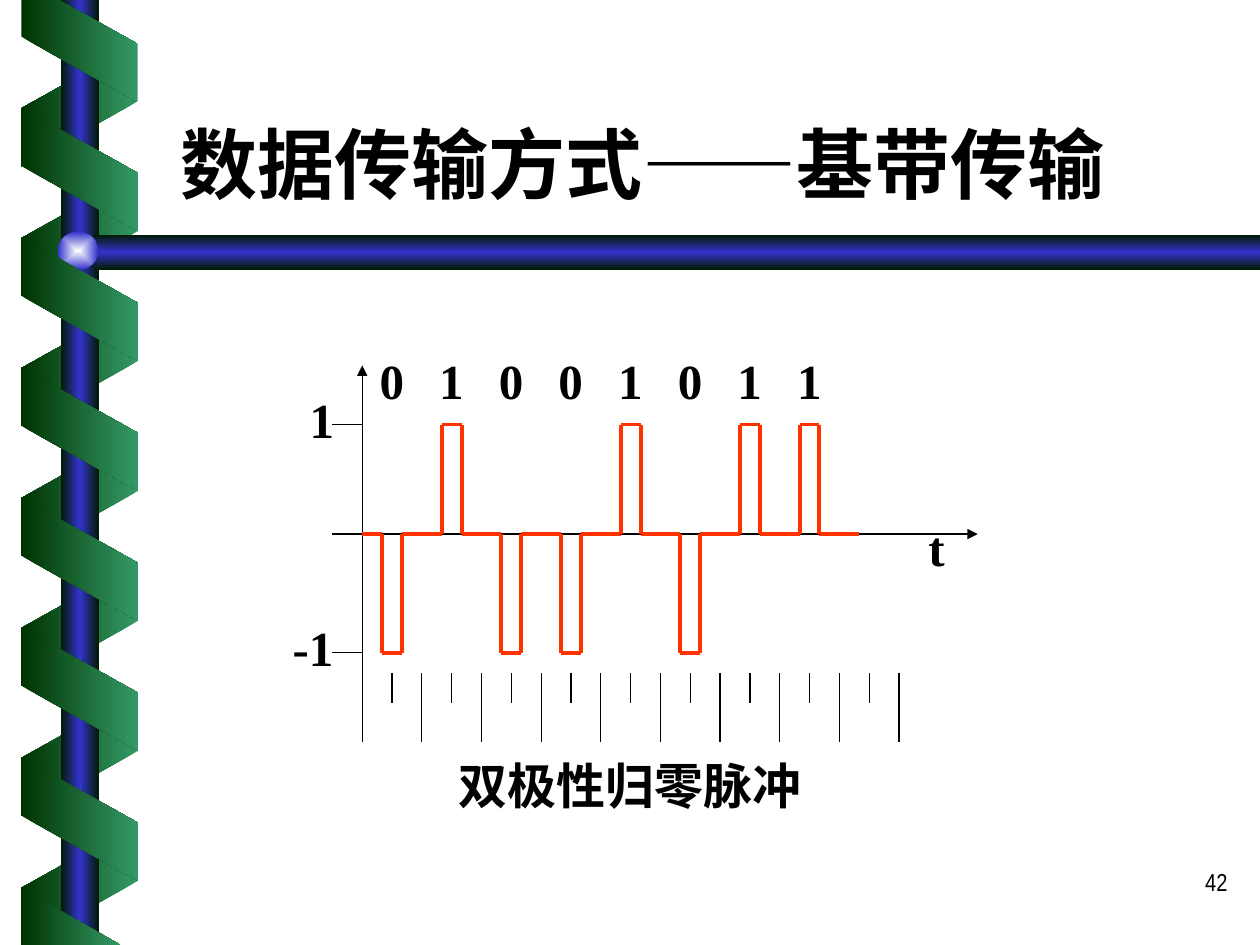
from pptx import Presentation
from pptx.dml.color import RGBColor
from pptx.enum.shapes import MSO_CONNECTOR, MSO_SHAPE
from pptx.enum.text import MSO_ANCHOR, MSO_AUTO_SIZE, PP_ALIGN
from pptx.oxml import parse_xml
from pptx.oxml.ns import nsdecls, qn
from pptx.util import Pt

STRAIGHT = MSO_CONNECTOR.STRAIGHT
PARALLELOGRAM, RECTANGLE, OVAL = MSO_SHAPE.PARALLELOGRAM, MSO_SHAPE.RECTANGLE, MSO_SHAPE.OVAL
LEFT, CENTER, RIGHT = PP_ALIGN.LEFT, PP_ALIGN.CENTER, PP_ALIGN.RIGHT
BOTTOM, NO_FIT = MSO_ANCHOR.BOTTOM, MSO_AUTO_SIZE.NONE

BLACK, SIGNAL_RED = "000000", "FF3300"
DARK_GREEN, LIGHT_GREEN = "003300", "339966"
RIBBON_FRONT = [DARK_GREEN, LIGHT_GREEN]
RIBBON_BACK = [LIGHT_GREEN, DARK_GREEN]
ROD_COLORS = ["001A00", "3333CC", "001A00"]
BALL_COLORS = ["FEFFFF", "3333CC"]
SANS, SERIF = "Arial Narrow", "Times New Roman"


def color(value):
    """Turn a hex string into a colour."""
    return RGBColor.from_string(value)


def paint_gradient(shape, colors, angle=0, from_center=False):
    """Fill a shape with evenly spaced stops that keep still when it is rotated."""
    shape.shadow.inherit = False
    shape.line.fill.background()
    shape.fill.gradient()
    gradient = shape._element.spPr.find(qn("a:gradFill"))
    gradient.set("rotWithShape", "0")
    for child in list(gradient):
        gradient.remove(child)
    stops = "".join(
        f'<a:gs pos="{100000 * index // (len(colors) - 1)}"><a:srgbClr val="{value}"/></a:gs>'
        for index, value in enumerate(colors)
    )
    gradient.append(parse_xml(f'<a:gsLst {nsdecls("a")}>{stops}</a:gsLst>'))
    if from_center:
        direction = (f'<a:path {nsdecls("a")} path="rect">'
                     '<a:fillToRect l="50000" t="50000" r="50000" b="50000"/></a:path>')
    else:
        direction = f'<a:lin {nsdecls("a")} ang="{angle * 60000}" scaled="0"/>'
    gradient.append(parse_xml(direction))


def add_solid(slide, kind, box, colors, **direction):
    """Add a preset shape with a gradient fill."""
    shape = slide.shapes.add_shape(kind, *map(Pt, box))
    paint_gradient(shape, colors, **direction)
    return shape


def add_outline(slide, points, colors, angle=0):
    """Add a closed polygon with a gradient fill."""
    builder = slide.shapes.build_freeform(Pt(points[0][0]), Pt(points[0][1]), scale=1)
    builder.add_line_segments([(Pt(x), Pt(y)) for x, y in points[1:]], close=True)
    paint_gradient(builder.convert_to_shape(), colors, angle)


def add_line(slide, start, end, line_color=BLACK, width=0.75, arrow=False):
    """Draw a straight line, with an arrowhead at its end if asked."""
    line = slide.shapes.add_connector(STRAIGHT, *map(Pt, (*start, *end)))
    line.line.color.rgb = color(line_color)
    line.line.width = Pt(width)
    if arrow:
        line.line._get_or_add_ln().append(
            parse_xml(f'<a:tailEnd {nsdecls("a")} type="triangle"/>'))
    line._element.spPr.append(parse_xml(f'<a:effectLst {nsdecls("a")}/>'))


def format_text(shape, text, size, font_name, bold, alignment):
    """Write one formatted paragraph into a shape."""
    frame = shape.text_frame
    frame.text = text
    frame.word_wrap = True
    frame.auto_size = NO_FIT
    paragraph = frame.paragraphs[0]
    paragraph.alignment = alignment
    font = paragraph.font
    font.size, font.name, font.bold = Pt(size), font_name, bold
    font.color.rgb = color(BLACK)


def add_label(slide, box, text, size=28, font_name=SERIF, bold=True, alignment=CENTER):
    """Add a text box with one paragraph."""
    label = slide.shapes.add_textbox(*map(Pt, box))
    format_text(label, text, size, font_name, bold, alignment)


def add_ribbon(slide, left, tops, colors, rotation, flipped=False):
    """Add a column of slanted ribbon pieces."""
    for top in tops:
        piece = add_solid(slide, PARALLELOGRAM, (left, top, 70.5, 66.6), colors)
        piece.adjustments[0] = 0.56
        piece.rotation = rotation
        if flipped:
            piece._element.spPr.find(qn("a:xfrm")).set("flipH", "1")


def draw_decoration(slide, box):
    """Draw the rods, the ball and the ribbon wound round the upright rod."""
    left, top, width, height = box
    right, bottom = left + width, top + height
    ribbon_left, pitch = left + 10.1, 74.25
    add_ribbon(slide, ribbon_left, [top + 26.6 + pitch * turn for turn in range(7)],
               RIBBON_BACK, 90, flipped=True)
    add_solid(slide, RECTANGLE, (left + 34.7, top, 21.8, height), ROD_COLORS)
    bar = [(right, 134.1), (54.7, 134.1), (43.2, 144), (54.7, 154.2), (right, 154.2)]
    add_outline(slide, bar, ROD_COLORS, angle=90)
    add_solid(slide, OVAL, (left + 33.1, top + 132.5, 23, 21.6), BALL_COLORS, from_center=True)
    add_ribbon(slide, ribbon_left, [top + 63.4 + pitch * turn for turn in range(6)],
               RIBBON_FRONT, 270)
    edge_left, edge_right = left + 12.2, left + 78.6
    add_outline(slide, [(edge_left, top), (edge_left, top + 20.9), (edge_right, top + 58.3),
                        (edge_right, top + 25), (left + 33.8, top)], RIBBON_FRONT)
    add_outline(slide, [(left + 69, bottom), (edge_left, bottom - 32.4), (edge_left, bottom)],
                RIBBON_FRONT)


def place_title(slide, box, text):
    """Move and format the title placeholder."""
    title = slide.shapes.title
    title.left, title.top, title.width, title.height = map(Pt, box)
    format_text(title, text, 44, SANS, True, LEFT)
    title.text_frame.vertical_anchor = BOTTOM


def draw_signal(slide, box, bits, caption):
    """Plot bits as bipolar return-to-zero pulses on labelled axes."""
    left, top, width, height = box
    origin, bottom, slot = left + 17, top + height, 34.08
    zero, high, low = top + 96.4, top + 33.8, top + 164.2
    add_line(slide, (origin, bottom), (origin, top), arrow=True)
    add_line(slide, (left, zero), (left + width, zero), arrow=True)
    for step in range(1, 19):
        x = origin + step * slot / 2
        add_line(slide, (x, bottom - 39.8), (x, bottom - 22.5 if step % 2 else bottom))
    for level in (low, high):
        add_line(slide, (left, level), (origin, level))
    add_label(slide, (left - 33.8, low - 23.8, 45.4, 41), "-1")
    add_label(slide, (left - 23, high - 23.8, 33.8, 41), "1")

    previous_end = origin
    for index, bit in enumerate(bits):
        slot_left = origin + index * slot
        start, end = slot_left + slot / 3, slot_left + slot * 2 / 3
        level = high if bit == "1" else low
        add_label(slide, (slot_left, top - 12.2, 33.8, 41), bit)
        corners = [(previous_end, zero), (start, zero), (start, level), (end, level), (end, zero)]
        for first, second in zip(corners, corners[1:]):
            add_line(slide, first, second, SIGNAL_RED, 2.25)
        previous_end = end
    add_line(slide, (previous_end, zero), (previous_end + slot * 2 / 3, zero), SIGNAL_RED, 2.25)

    add_label(slide, (left + 28.1, bottom + 4.3, 283.7, 41), caption)
    add_label(slide, (left + 328.3, zero - 13, 33.8, 41), "t")


def main():
    """Build the slide and save it."""
    presentation = Presentation()
    presentation.slide_width, presentation.slide_height = Pt(720), Pt(540)
    slide = presentation.slides.add_slide(presentation.slide_layouts[5])
    draw_decoration(slide, (0, 0, 720, 540))
    add_label(slide, (558.7, 491.8, 149.8, 36), "42", 14, SANS, False, RIGHT)
    place_title(slide, (95.8, 33.1, 612, 90), "数据传输方式——基带传输")
    draw_signal(slide, (190, 208.8, 368.7, 215.3), "01001011", "双极性归零脉冲")
    presentation.save("out.pptx")


if __name__ == "__main__":
    main()
